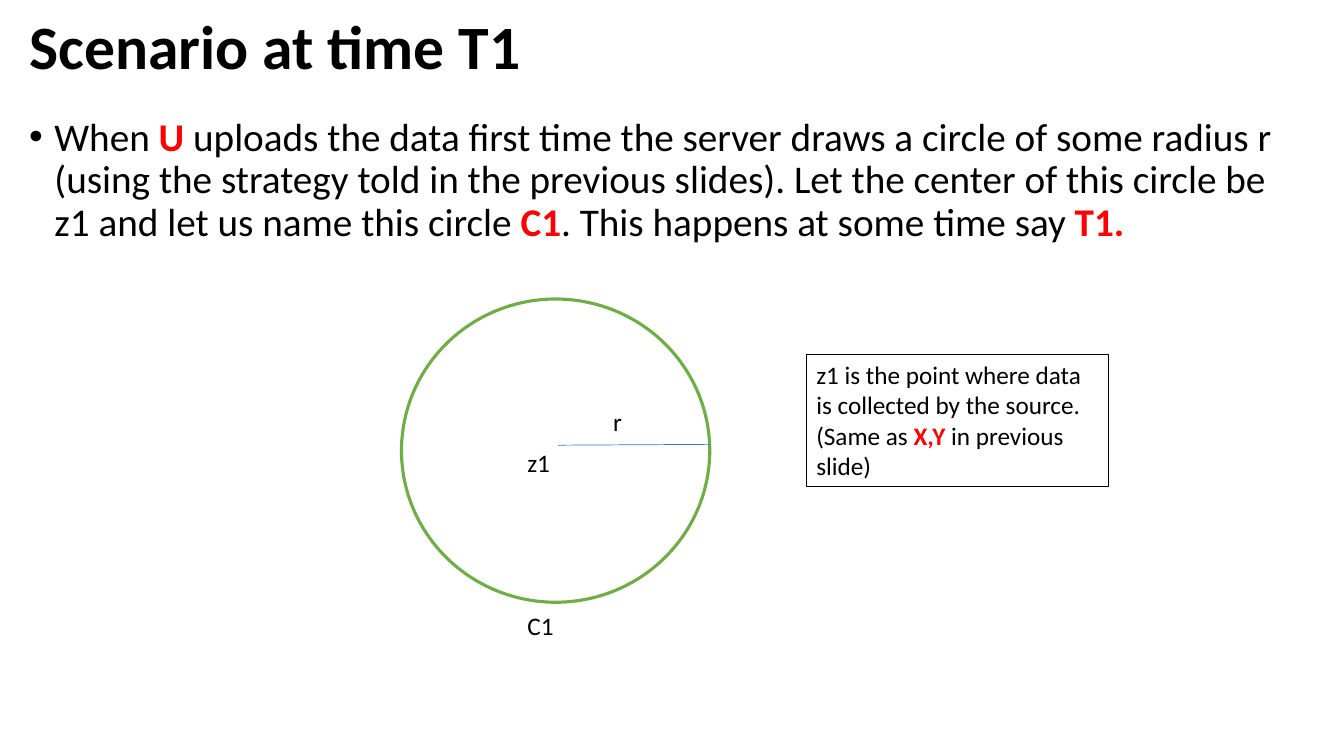
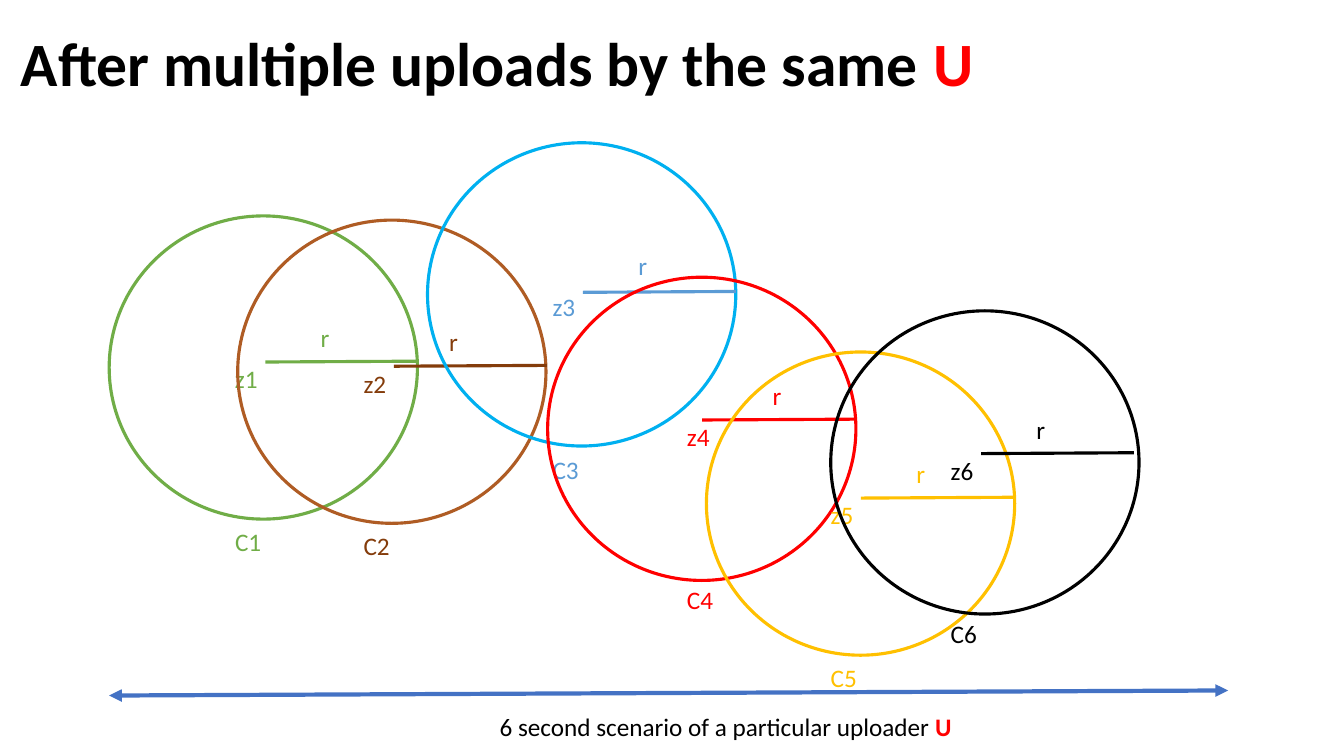
"""Builds two slides on upload circles drawn by a server over time."""
from lxml import etree
from pptx import Presentation
from pptx.dml.color import RGBColor
from pptx.enum.shapes import MSO_CONNECTOR, MSO_SHAPE
from pptx.enum.text import MSO_ANCHOR, MSO_AUTO_SIZE, PP_ALIGN
from pptx.oxml.ns import qn
from pptx.util import Inches, Pt

STRAIGHT = MSO_CONNECTOR.STRAIGHT
OVAL, RECT = MSO_SHAPE.OVAL, MSO_SHAPE.RECTANGLE
TOP, MIDDLE = MSO_ANCHOR.TOP, MSO_ANCHOR.MIDDLE
GROW, FIXED = MSO_AUTO_SIZE.SHAPE_TO_FIT_TEXT, MSO_AUTO_SIZE.NONE
LEFT = PP_ALIGN.LEFT

BLACK = RGBColor(0x00, 0x00, 0x00)
WHITE = RGBColor(0xFF, 0xFF, 0xFF)
RED = RGBColor(0xFF, 0x00, 0x00)
GREEN = RGBColor(0x70, 0xAD, 0x47)
BLUE = RGBColor(0x44, 0x72, 0xC4)
RUST = RGBColor(0xAF, 0x5C, 0x24)
BROWN = RGBColor(0x84, 0x3C, 0x0B)
CYAN = RGBColor(0x00, 0xB0, 0xF0)
SKY = RGBColor(0x5B, 0x9B, 0xD5)
GOLD = RGBColor(0xFF, 0xC0, 0x00)

FONT = "Calibri"
prs = Presentation()
prs.slide_width, prs.slide_height = Inches(13.33), Inches(7.5)
COL, ROW = prs.slide_width / 160, prs.slide_height / 90

CIRCLE_W, CIRCLE_H = 36.7, 36.1
RADIUS, RISE = 18.2, 0.1
TITLE = dict(size=44, bold=True, anchor=MIDDLE, spacing=0.9, fit=FIXED)


def cells(x, y, w, h):
    return [round(v) for v in (x * COL, y * ROW, w * COL, h * ROW)]


def write(sp, text, size=18, color=BLACK, bold=False, anchor=TOP,
          spacing=1.0, before=0, fit=GROW):
    """Write text in sp; the parts between bars are red and bold."""
    tf = sp.text_frame
    tf.word_wrap, tf.auto_size, tf.vertical_anchor = True, fit, anchor
    p = tf.paragraphs[0]
    p.alignment, p.line_spacing, p.space_before = LEFT, spacing, Pt(before)
    for i, part in enumerate(text.split("|")):
        if part:
            r = p.add_run()
            r.text = part
            r.font.name, r.font.size = FONT, Pt(size)
            r.font.bold = bold or i % 2 == 1
            r.font.color.rgb = RED if i % 2 else color
    return p


SCENES = [
    ("Scenario at time T1", (2.3, 0, 138, 11.8), [
        (47.8, 35.6, 61.6, 52.7, 66.4, 53, GREEN, BLACK, BLUE, 0.5),
    ]),
    ("After multiple uploads by the same |U", (1.3, 0.7, 138, 14.4), [
        (13, 25.7, 26.8, 42.7, 31.6, 43.1, GREEN, GREEN, GREEN, 2.25),
        (28.3, 26.2, 42.1, 43.2, 46.9, 43.6, RUST, BROWN, BROWN, 2.25),
        (50.9, 17, 64.6, 34.1, 69.4, 34.8, CYAN, SKY, SKY, 2.25),
        (65.2, 33, 80.6, 49.6, 83.6, 50, RED, RED, RED, 2.25),
        (84.1, 41.9, 97.7, 58.9, 102.5, 59.3, GOLD, GOLD, GOLD, 2.25),
        (98.9, 37, 112, 53.6, 116.8, 54, BLACK, BLACK, BLACK, 2.25),
    ]),
]

slides, lines = [], []
for title, frame, circles in SCENES:
    s = prs.slides.add_slide(prs.slide_layouts[6])
    slides.append(s)
    write(s.shapes.add_textbox(*cells(*frame)), title, **TITLE)
    for n, circle in enumerate(circles, 1):
        x, y, label_x, label_y, center_x, center_y, ring, ink, stroke, width = circle
        sp = s.shapes.add_shape(OVAL, *cells(x, y, CIRCLE_W, CIRCLE_H))
        sp.shadow.inherit = False
        if n == 1:
            sp.fill.solid()
            sp.fill.fore_color.rgb = WHITE
        else:
            sp.fill.background()
        sp.line.color.rgb, sp.line.width = ring, Pt(2.25)

        radius = s.shapes.add_connector(STRAIGHT, *cells(
            center_x, center_y, center_x + RADIUS, center_y - RISE))
        radius.line.color.rgb, radius.line.width = stroke, Pt(width)
        lines.append(radius)

        for text, dx, dy, w in ((f"z{n}", 0, 0, 7.4), ("r", 10.2, -4.9, 4.7),
                                (f"C{n}", 0, 19.4, 10.1)):
            box = s.shapes.add_textbox(*cells(label_x + dx, label_y + dy, w, 4.8))
            write(box, text, color=ink)

first, second = slides

body = first.shapes.add_textbox(*cells(2.3, 13.4, 152.9, 71.8))
p = write(body, "When |U |uploads the data first time the server draws a circle of "
          "some radius r (using the strategy told in the previous slides). Let the "
          "center of this circle be z1 and let us name this circle |C1|. This "
          "happens at some time say |T1.", size=28, spacing=0.9, before=10, fit=FIXED)
pPr = p._p.get_or_add_pPr()
pPr.set("marL", str(Inches(0.25)))
pPr.set("indent", str(-Inches(0.25)))
etree.SubElement(pPr, qn("a:buFont")).set("typeface", "Arial")
etree.SubElement(pPr, qn("a:buChar")).set("char", "•")

note = first.shapes.add_shape(RECT, *cells(96, 42.2, 36, 15.7))
note.shadow.inherit = False
note.fill.solid()
note.fill.fore_color.rgb = WHITE
note.line.color.rgb, note.line.width = BLACK, Pt(1)
write(note, "z1 is the point where data is collected by the source. "
      "(Same as |X,Y| in previous slide)")

span = second.shapes.add_connector(STRAIGHT, *cells(13, 82.8, 146.2, 82.2))
span.line.color.rgb, span.line.width = BLUE, Pt(3)
for end in ("a:headEnd", "a:tailEnd"):
    etree.SubElement(span.line._get_or_add_ln(), qn(end)).set("type", "triangle")
lines.append(span)
write(second.shapes.add_textbox(*cells(58.3, 84.1, 81, 4.8)),
      "6 second scenario of a particular uploader |U")

for line in lines:
    etree.SubElement(line._element.spPr, qn("a:effectLst"))

prs.save("out.pptx")
